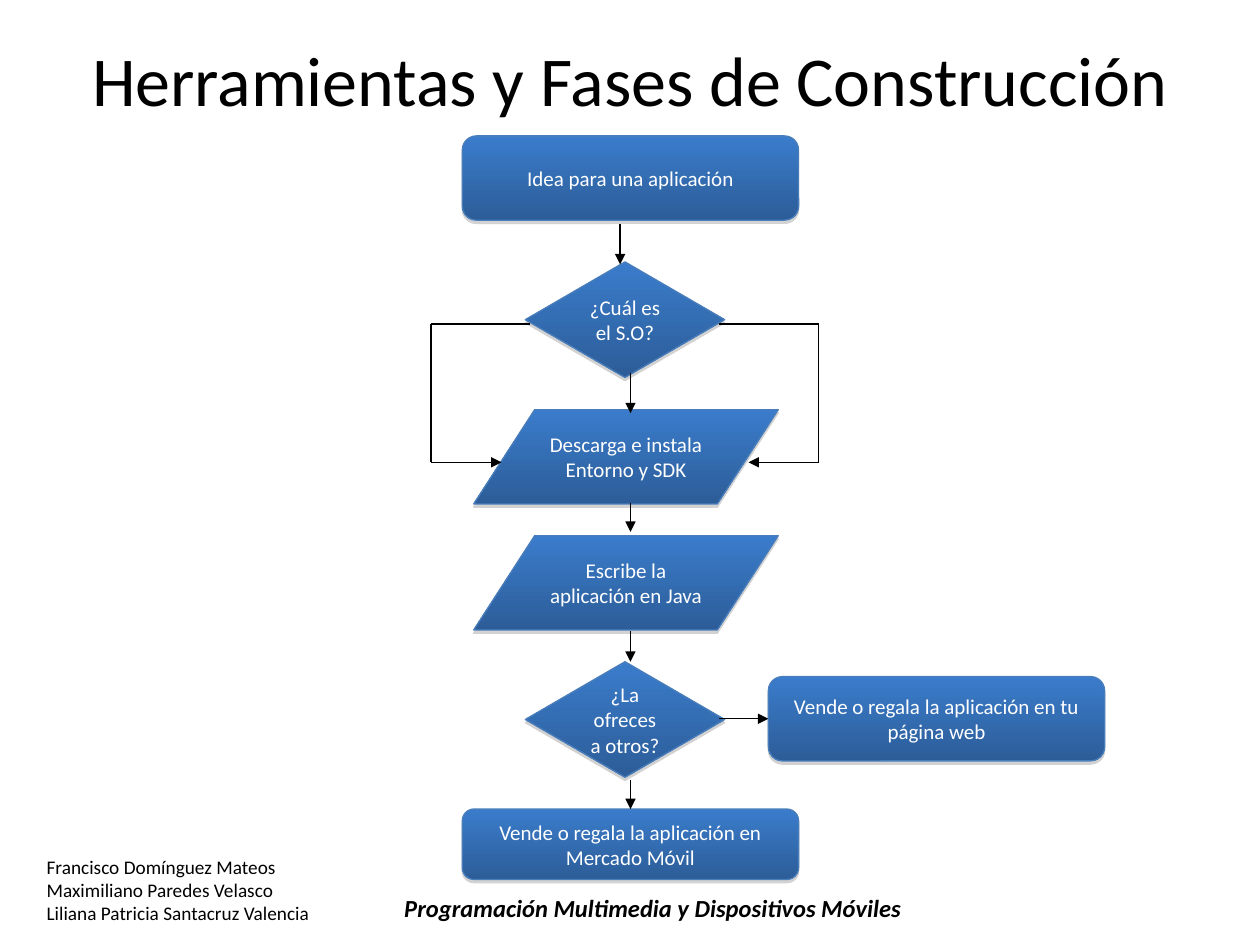
"""Build a flowchart slide on the phases of making a mobile app."""
from dataclasses import dataclass
from itertools import pairwise

from lxml import etree
from pptx import Presentation
from pptx.dml.color import RGBColor
from pptx.enum.shapes import MSO_CONNECTOR, MSO_SHAPE
from pptx.enum.text import MSO_ANCHOR, PP_ALIGN
from pptx.oxml.ns import qn
from pptx.util import Cm, Pt

STEP = MSO_SHAPE.FLOWCHART_ALTERNATE_PROCESS
CHOICE = MSO_SHAPE.FLOWCHART_DECISION
DATA = MSO_SHAPE.FLOWCHART_DATA
STRAIGHT = MSO_CONNECTOR.STRAIGHT
LEFT, CENTER = PP_ALIGN.LEFT, PP_ALIGN.CENTER
TOP, MIDDLE = MSO_ANCHOR.TOP, MSO_ANCHOR.MIDDLE


@dataclass(frozen=True)
class Theme:
    """Colours, font and type sizes of the slide."""
    font: str = "Calibri"
    ink: str = "000000"
    white: str = "FFFFFF"
    light: str = "3A7CCB"
    dark: str = "2C5D98"
    edge: str = "4A7EBB"
    shade: str = "808080"
    title: float = 40
    node: float = 12
    course: float = 14
    author: float = 11
    line: float = 0.75


THEME = Theme()
SIZES = {STEP: (6.78, 1.7), CHOICE: (4.02, 2.33), DATA: (6.14, 1.9)}


def rgb(code):
    """Turn a hex code into a colour."""
    return RGBColor.from_string(code)


def write(shape, text, size, color, align=LEFT, anchor=TOP, strong=False):
    """Put formatted text into a shape."""
    frame = shape.text_frame
    frame.word_wrap = True
    frame.vertical_anchor = anchor
    frame.text = text
    for para in frame.paragraphs:
        para.alignment = align
        for run in para.runs:
            font = run.font
            font.name, font.size = THEME.font, Pt(size)
            font.bold = font.italic = strong
            font.color.rgb = rgb(color)


def label(slide, box, text, size, **style):
    """Add a text box."""
    shape = slide.shapes.add_textbox(*map(Cm, box))
    write(shape, text, size, THEME.ink, **style)


def shade(shape):
    """Give a shape a soft drop shadow."""
    shape.shadow.inherit = False
    effects = shape._element.spPr.find(qn("a:effectLst"))
    drop = etree.SubElement(effects, qn("a:outerShdw"), blurRad="0",
                            dist=str(Pt(1.8)), dir="5400000", rotWithShape="0")
    tone = etree.SubElement(drop, qn("a:srgbClr"), val=THEME.shade)
    etree.SubElement(tone, qn("a:alpha"), val="35000")


def node(slide, kind, mid, top, text, high=None):
    """Add a flowchart node centred on mid."""
    wide, tall = SIZES[kind]
    shape = slide.shapes.add_shape(
        kind, Cm(mid - wide / 2), Cm(top), Cm(wide), Cm(high or tall))
    shape.fill.gradient()
    shape.fill.gradient_angle = 270
    for stop, tone in zip(shape.fill.gradient_stops, (THEME.light, THEME.dark)):
        stop.color.rgb = rgb(tone)
    shape.line.color.rgb = rgb(THEME.edge)
    shape.line.width = Pt(THEME.line)
    shade(shape)
    write(shape, text, THEME.node, THEME.white, CENTER, MIDDLE)
    return shape


def link(shapes, start, end, head=True):
    """Add a straight line, with an arrowhead if asked."""
    wire = shapes.add_connector(STRAIGHT, *map(Cm, (*start, *end)))
    wire.line.color.rgb = rgb(THEME.ink)
    wire.line.width = Pt(THEME.line)
    props = wire._element.spPr
    if head:
        etree.SubElement(props.find(qn("a:ln")), qn("a:tailEnd"), type="triangle")
    etree.SubElement(props, qn("a:effectLst"))
    return wire


def loop(slide, start, side, end):
    """Group three lines that go round one side of the chart."""
    high, low = 6.53, 9.32
    shapes = slide.shapes.add_group_shape().shapes
    points = [(start, high), (side, high), (side, low), (end, low)]
    for a, b in pairwise(points):
        link(shapes, a, b, head=b == points[-1])


def main():
    """Build and save the slide."""
    deck = Presentation()
    deck.slide_width, deck.slide_height = Cm(25.4), Cm(19.05)
    slide = deck.slides.add_slide(deck.slide_layouts[6])

    label(slide, (0.69, 17.12, 6.2, 1.6),
          "Francisco Domínguez Mateos\nMaximiliano Paredes Velasco\n"
          "Liliana Patricia Santacruz Valencia", THEME.author)
    label(slide, (7.9, 17.88, 11.4, 0.86),
          "Programación Multimedia y Dispositivos Móviles",
          THEME.course, strong=True)
    label(slide, (1.27, 0, 22.86, 3.18), "Herramientas y Fases de Construcción",
          THEME.title, align=CENTER, anchor=MIDDLE)

    axis = 12.71
    node(slide, STEP, axis, 2.74, "Idea para una aplicación")
    shop = node(slide, STEP, axis, 16.31,
                "Vende o regala la aplicación en Mercado Móvil", 1.42)
    node(slide, CHOICE, 12.6, 13.34, "¿La ofreces a otros?")
    node(slide, DATA, 12.62, 8.26, "Descarga e instala Entorno y SDK")
    node(slide, CHOICE, 12.6, 5.28, "¿Cuál es el S.O?")
    node(slide, DATA, 12.62, 10.8, "Escribe la aplicación en Java")
    web = node(slide, STEP, 18.88, 13.64,
               "Vende o regala la aplicación en tu página web")

    link(slide.shapes, (12.5, 4.52), (12.5, 5.33))
    for top, end in ((7.52, 8.33), (10.13, 10.72), (12.73, 13.34)):
        link(slide.shapes, (axis, top), (axis, end))
    link(slide.shapes, (axis, 15.72), (axis, 16.31)).end_connect(shop, 0)
    link(slide.shapes, (14.5, 14.49), (15.49, 14.49)).end_connect(web, 1)
    loop(slide, 14.5, 16.5, 15.09)
    loop(slide, 10.69, 8.69, 10.11)
    deck.save("out.pptx")


if __name__ == "__main__":
    main()
